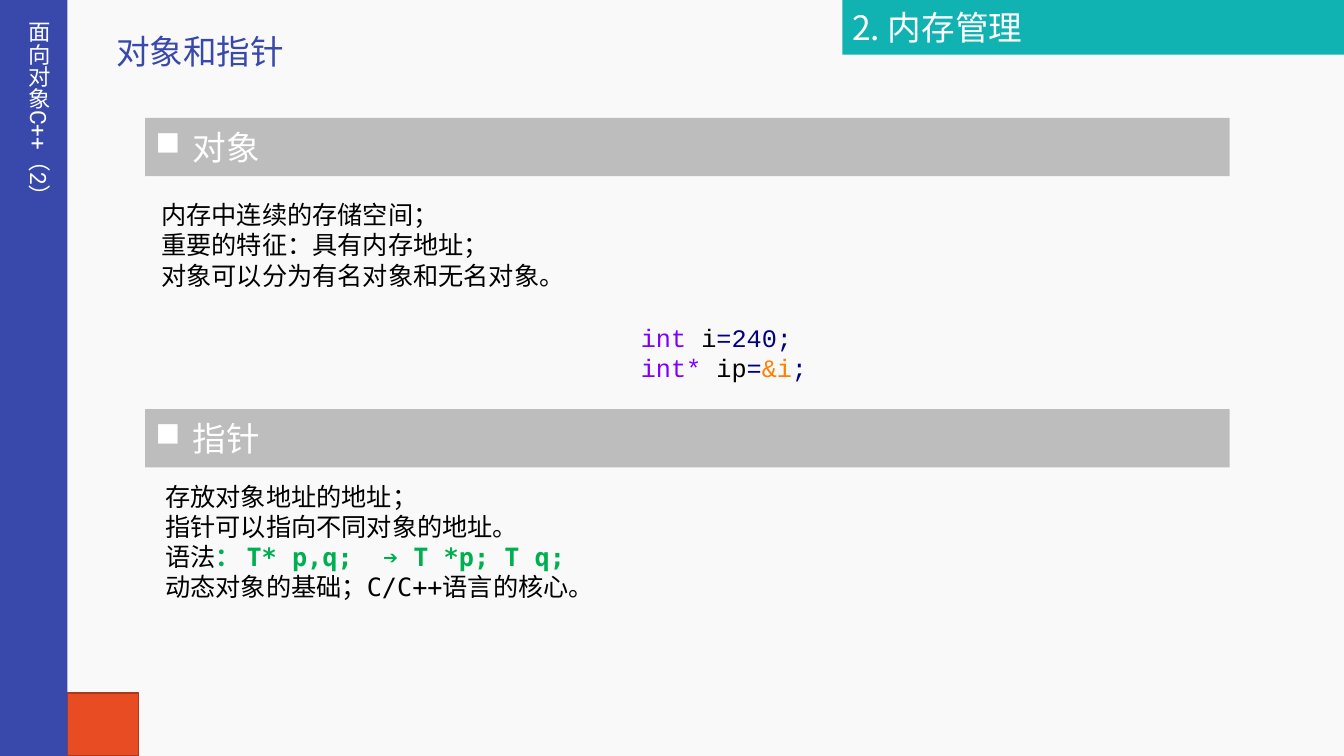
"""Build the slide on objects and pointers in C++ memory management."""
from dataclasses import dataclass

from lxml import etree
from pptx import Presentation
from pptx.dml.color import RGBColor
from pptx.enum import shapes, text
from pptx.oxml import ns
from pptx.util import Cm, Pt


@dataclass(frozen=True)
class Theme:
    paper: str = "F9F9F9"
    indigo: str = "3949AB"
    teal: str = "11B2B2"
    orange: str = "E84C22"
    rust: str = "AC3819"
    grey: str = "BDBDBD"
    white: str = "FFFFFF"
    black: str = "000000"
    green: str = "00B050"
    keyword: str = "8000FF"
    literal: str = "000080"
    address: str = "FF8000"
    heading_size: int = 24
    body_size: int = 18
    course_size: int = 16
    title_font: str = "Roboto"
    heading_font: str = "Noto Sans CJK SC"
    body_font: str = "DejaVu Sans Mono"
    code_font: str = "Courier New"


THEME = Theme()
TOPIC = "对象和指针"
COURSE = "面向对象C++（2）"
CHAPTER = "2. 内存管理"
SECTIONS = [
    {
        "heading": "对象", "bar_top": 2.97, "list_at": (3.81, 4.9, 27.1, 2.56),
        "points": ["内存中连续的存储空间；", "重要的特征：具有内存地址；",
                   "对象可以分为有名对象和无名对象。"],
    },
    {
        "heading": "指针", "bar_top": 10.31, "list_at": (3.91, 11.99, 27.1, 3.33),
        "points": ["存放对象地址的地址；", "指针可以指向不同对象的地址。",
                   [("语法", THEME.black), ("： T* p,q;  ➔ T *p; T q;", THEME.green, True)],
                   "动态对象的基础；C/C++语言的核心。"],
    },
]
CODE = [
    [("int ", THEME.keyword), ("i", THEME.black), ("=240;", THEME.literal)],
    [("int* ", THEME.keyword), ("ip", THEME.black), ("=", THEME.literal),
     ("&i", THEME.address), (";", THEME.literal)],
]


def rgb(code):
    return RGBColor.from_string(code)


def write(holder, lines, *, size, font, color=THEME.black, bullet=None, wrap=True,
          anchor=text.MSO_ANCHOR.TOP, vertical=False):
    frame = holder.text_frame
    frame.auto_size = text.MSO_AUTO_SIZE.NONE
    frame.word_wrap = wrap
    frame.vertical_anchor = anchor
    if vertical:
        frame._txBody.bodyPr.set("vert", "eaVert")
    for number, line in enumerate(lines):
        paragraph = frame.paragraphs[0] if number == 0 else frame.add_paragraph()
        properties = paragraph._p.get_or_add_pPr()
        indent = Cm(0.95) if bullet else 0
        properties.set("marL", str(indent))
        properties.set("indent", str(-indent))
        mark = etree.SubElement(properties, ns.qn("a:buChar" if bullet else "a:buNone"))
        if bullet:
            mark.set("char", bullet)
        paragraph.alignment = text.PP_ALIGN.LEFT
        paragraph.space_before = Pt(0)
        for words, ink, *bold in [(line, color)] if isinstance(line, str) else line:
            run = paragraph.add_run()
            run.text = words
            run.font.size = Pt(size)
            run.font.name = font
            run.font.bold = bool(bold)
            run.font.color.rgb = rgb(ink)
            east_asian = etree.Element(ns.qn("a:ea"), typeface=THEME.heading_font)
            run._r.rPr.find(ns.qn("a:latin")).addnext(east_asian)


def place(holder, at):
    holder.left, holder.top, holder.width, holder.height = map(Cm, at)
    return holder


def block(slide, at, fill, line=None, preset=shapes.MSO_SHAPE.RECTANGLE):
    panel = slide.shapes.add_shape(preset, *map(Cm, at))
    panel.shadow.inherit = False
    panel.fill.solid()
    panel.fill.fore_color.rgb = rgb(fill)
    if line:
        panel.line.color.rgb = rgb(line)
        panel.line.width = Pt(1)
    else:
        panel.line.fill.background()
    return panel


def main():
    deck = Presentation()
    deck.slide_width, deck.slide_height = Cm(33.87), Cm(19.05)
    slide = deck.slides.add_slide(deck.slide_layouts.get_by_name("Two Content"))
    slide.background.fill.solid()
    slide.background.fill.fore_color.rgb = rgb(THEME.paper)
    topic, *lists = slide.placeholders

    block(slide, (1.7, 17.46, 1.8, 1.59), THEME.orange, THEME.rust)
    write(place(topic, (2.67, 0.64, 4.78, 1.27)), [TOPIC], size=THEME.heading_size,
          font=THEME.title_font, color=THEME.indigo, wrap=False)

    block(slide, (0, 0, 1.7, 19.05), THEME.indigo)
    course = slide.shapes.add_textbox(*map(Cm, (0.25, 0.28, 1.2, 5.08)))
    write(course, [COURSE], size=THEME.course_size, font=THEME.title_font,
          color=THEME.white, wrap=False, vertical=True)

    heading_style = dict(size=THEME.heading_size, font=THEME.heading_font,
                         color=THEME.white, anchor=text.MSO_ANCHOR.MIDDLE)
    for section, points in zip(SECTIONS, lists):
        bar = block(slide, (3.66, section["bar_top"], 27.33, 1.47), THEME.grey,
                    preset=shapes.MSO_SHAPE.ROUND_2_SAME_RECTANGLE)
        bar.adjustments[0] = 0.01
        write(bar, [section["heading"]], bullet="■", **heading_style)
        write(place(points, section["list_at"]), section["points"],
              size=THEME.body_size, font=THEME.body_font)

    chapter = block(slide, (21.23, 0, 12.64, 1.38), THEME.teal)
    write(chapter, [CHAPTER], **heading_style)
    code = slide.shapes.add_textbox(*map(Cm, (15.9, 8, 4.72, 1.8)))
    write(code, CODE, size=THEME.body_size, font=THEME.code_font, wrap=False)
    deck.save("out.pptx")


if __name__ == "__main__":
    main()
